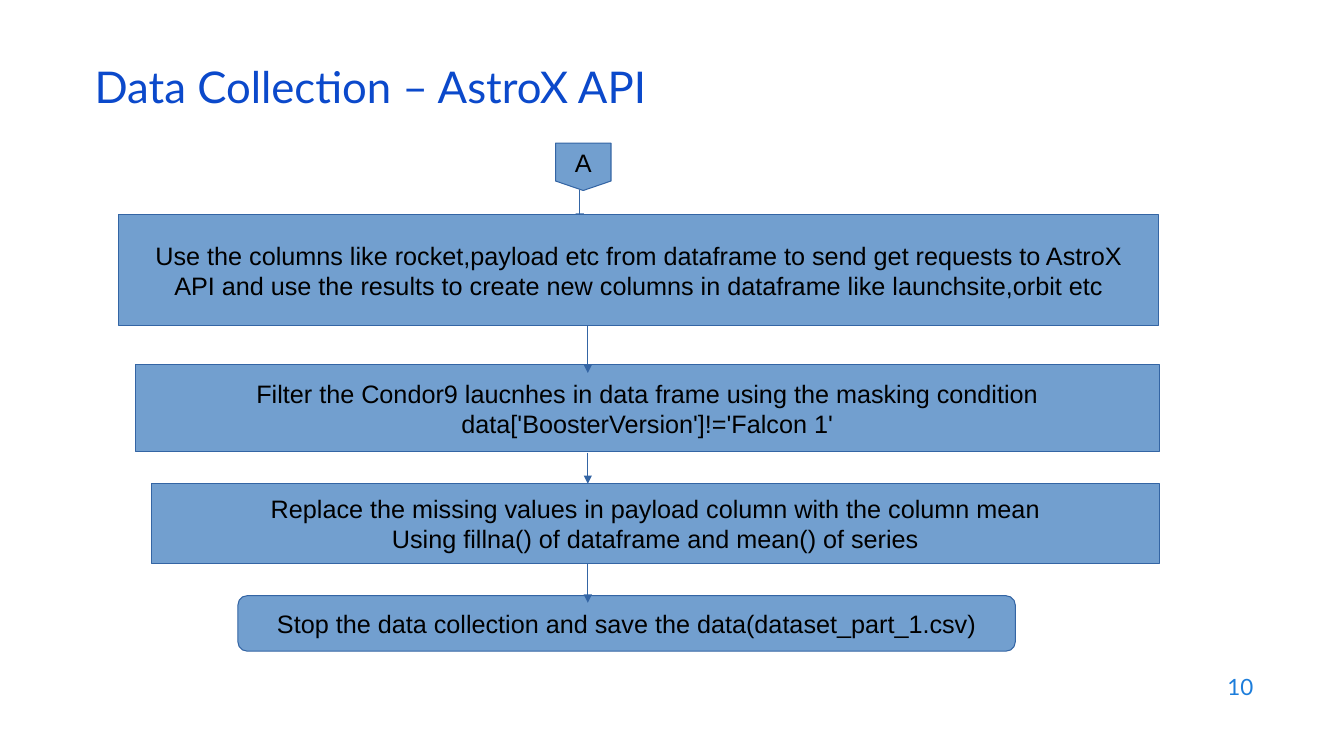
from dataclasses import dataclass

from lxml.etree import SubElement
from pptx import Presentation
from pptx.dml.color import RGBColor
from pptx.enum.shapes import MSO_CONNECTOR as Conn, MSO_SHAPE as Shape
from pptx.enum.text import MSO_ANCHOR as Anchor, PP_ALIGN as Align
from pptx.oxml.ns import qn
from pptx.slide import Slide
from pptx.text.text import TextFrame
from pptx.util import Inches, Pt

FILL = "729FCF"
LINE = "3465A4"


@dataclass
class Step:
    left: float
    top: float
    width: float
    height: float
    lines: list[str]
    kind: Shape = Shape.RECTANGLE


@dataclass
class Arrow:
    x: float
    top: float
    bottom: float


@dataclass
class Label:
    left: float
    top: float
    width: float
    height: float
    text: str
    size: float
    color: str
    align: Align
    spacing: float


START = Step(5.51, 1.42, 0.55, 0.47, ["A"], Shape.FLOWCHART_OFFPAGE_CONNECTOR)
STEPS = [
    Step(1.18, 2.13, 10.31, 1.1, [
        "Use the columns like rocket,payload etc from dataframe to send get requests to AstroX",
        "API and use the results to create new columns in dataframe like launchsite,orbit etc",
    ]),
    Step(1.34, 3.62, 10.16, 0.86, [
        "Filter the Condor9 laucnhes in data frame using the masking condition",
        "data['BoosterVersion']!='Falcon 1'",
    ]),
    Step(1.5, 4.8, 10, 0.79, [
        "Replace the missing values in payload column with the column mean",
        "Using fillna() of dataframe and mean() of series",
    ]),
    Step(2.36, 5.91, 7.71, 0.55, [
        "Stop the data collection and save the data(dataset_part_1.csv)",
    ], Shape.ROUNDED_RECTANGLE),
]
START_ARROW = Arrow(5.75, 1.89, 2.2)
ARROWS = [Arrow(5.83, 3.23, 3.7), Arrow(5.83, 4.49, 4.8), Arrow(5.83, 5.59, 5.98)]
LABELS = [
    Label(9.53, 6.59, 3, 0.44, "10", 16, "1C7DDB", Align.RIGHT, 1.0),
    Label(0.84, 0.59, 11.5, 0.6, "Data Collection – AstroX API", 31.2, "0B49CB",
          Align.LEFT, 0.9),
]


def rgb(color: str) -> RGBColor:
    return RGBColor.from_string(color)


def add_text(tf: TextFrame, lines: list[str], font: str, size: float, color: str,
             align: Align, spacing: float = 1.0) -> None:
    tf.vertical_anchor = Anchor.MIDDLE
    for i, line in enumerate(lines):
        p = tf.add_paragraph() if i else tf.paragraphs[0]
        p.alignment = align
        p.line_spacing = spacing
        r = p.add_run()
        r.text = line
        r.font.name = font
        r.font.size = Pt(size)
        r.font.color.rgb = rgb(color)


def add_label(s: Slide, label: Label) -> None:
    sp = s.shapes.add_textbox(Inches(label.left), Inches(label.top),
                              Inches(label.width), Inches(label.height))
    sp.text_frame.word_wrap = True
    add_text(sp.text_frame, [label.text], "Lato", label.size, label.color,
             label.align, label.spacing)


def add_step(s: Slide, step: Step) -> None:
    sp = s.shapes.add_shape(step.kind, Inches(step.left), Inches(step.top),
                            Inches(step.width), Inches(step.height))
    sp.shadow.inherit = False
    sp.fill.solid()
    sp.fill.fore_color.rgb = rgb(FILL)
    sp.line.color.rgb = rgb(LINE)
    sp.line.width = Pt(0.75)
    sp.text_frame.word_wrap = False
    add_text(sp.text_frame, step.lines, "Arial", 18, "000000", Align.CENTER)


def add_arrow(s: Slide, arrow: Arrow) -> None:
    cx = s.shapes.add_connector(Conn.STRAIGHT, Inches(arrow.x), Inches(arrow.top),
                                Inches(arrow.x), Inches(arrow.bottom))
    cx.line.color.rgb = rgb(LINE)
    cx.line.width = Pt(0.75)
    SubElement(cx.line._get_or_add_ln(), qn("a:tailEnd"), type="triangle")
    SubElement(cx._element.spPr, qn("a:effectLst"))


def main() -> None:
    prs = Presentation()
    prs.slide_width = Inches(13.33)
    prs.slide_height = Inches(7.5)
    s = prs.slides.add_slide(prs.slide_layouts[6])
    for label in LABELS:
        add_label(s, label)
    add_arrow(s, START_ARROW)
    for step in [START, *STEPS]:
        add_step(s, step)
    for arrow in ARROWS:
        add_arrow(s, arrow)
    prs.save("out.pptx")


if __name__ == "__main__":
    main()
